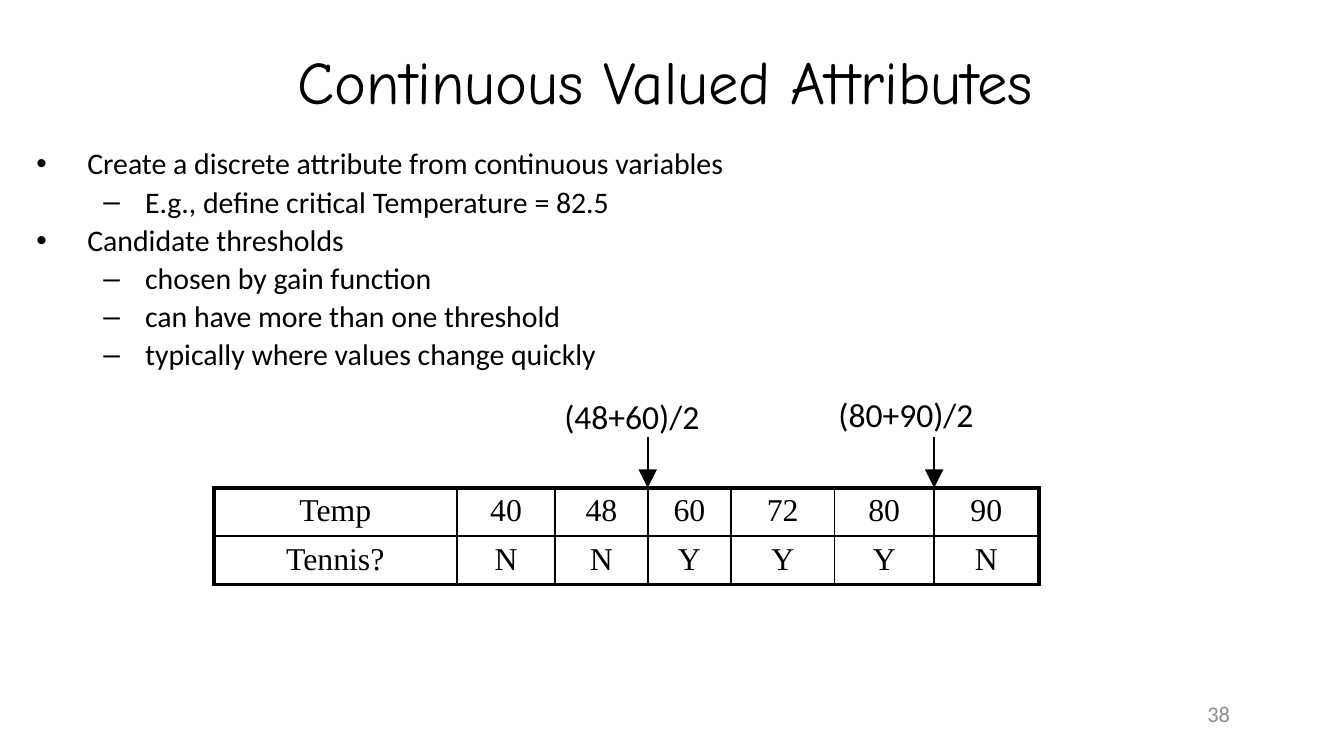
from lxml import etree
from pptx import Presentation
from pptx.dml.color import RGBColor
from pptx.enum.shapes import MSO_CONNECTOR
from pptx.enum.text import MSO_ANCHOR, MSO_AUTO_SIZE, PP_ALIGN
from pptx.oxml.ns import qn
from pptx.util import Inches, Pt

CENTER, RIGHT, LEFT = PP_ALIGN.CENTER, PP_ALIGN.RIGHT, PP_ALIGN.LEFT
TOP, MIDDLE = MSO_ANCHOR.TOP, MSO_ANCHOR.MIDDLE
NO_AUTOFIT = MSO_AUTO_SIZE.NONE
STRAIGHT = MSO_CONNECTOR.STRAIGHT

SLIDE_WIDTH = 10
SLIDE_HEIGHT = SLIDE_WIDTH * 9 / 16
BLACK, GRAY = "000000", "8C8C8C"
TITLE = "Continuous Valued Attributes"
POINTS = [
    (0, "Create a discrete attribute from continuous variables"),
    (1, "E.g., define critical Temperature = 82.5"),
    (0, "Candidate thresholds"),
    (1, "chosen by gain function"),
    (1, "can have more than one threshold"),
    (1, "typically where values change quickly"),
]
INDENTS = [(0.38, -0.38), (0.81, -0.31)]  # left margin, first line, per level
SAMPLES = [
    ["Temp", "40", "48", "60", "72", "80", "90"],
    ["Tennis?", "N", "N", "Y", "Y", "Y", "N"],
]
COLUMN_WIDTHS = [1.81, 0.73, 0.69, 0.62, 0.77, 0.74, 0.78]
TABLE_LEFT, TABLE_TOP, ROW_HEIGHT = 1.59, 3.63, 0.36
THIN, THICK = 1, 2.25
# label, its left and top, number of columns left of the threshold
THRESHOLDS = [("(48+60)/2", 4.1, 2.9, 3), ("(80+90)/2", 6.14, 2.88, 6)]
ARROW_TOP = 3.25
PAGE_NUMBER = "38"


def color(hex_value):
    return RGBColor.from_string(hex_value)


def place(shape, left, top, width, height):
    box = {"left": left, "top": top, "width": width, "height": height}
    for side, inches in box.items():
        setattr(shape, side, Inches(inches))


def format_text(paragraph, size, font="Calibri", hex_value=BLACK, align=LEFT):
    paragraph.alignment = align
    paragraph.font.size = Pt(size)
    paragraph.font.name = font
    paragraph.font.color.rgb = color(hex_value)


def set_borders(cell, widths):
    """Draw solid black borders; widths maps L, R, T, B to points, in that order."""
    properties = cell._tc.get_or_add_tcPr()
    for position, (side, points) in enumerate(widths.items()):
        line = etree.Element(qn(f"a:ln{side}"), w=str(Pt(points)))
        fill = etree.SubElement(line, qn("a:solidFill"))
        etree.SubElement(fill, qn("a:srgbClr"), val=BLACK)
        properties.insert(position, line)


def add_label(slide, text, box, size, hex_value=BLACK, align=LEFT, anchor=TOP, wrap=False):
    frame = slide.shapes.add_textbox(*map(Inches, box)).text_frame
    frame.word_wrap = wrap
    frame.vertical_anchor = anchor
    frame.text = text
    format_text(frame.paragraphs[0], size, hex_value=hex_value, align=align)


def add_title(slide):
    title = slide.shapes.title
    place(title, 0.42, 0.38, 9.06, 0.44)
    frame = title.text_frame
    frame.text = TITLE
    frame.auto_size = NO_AUTOFIT
    frame.vertical_anchor = MIDDLE
    format_text(frame.paragraphs[0], 32.4, "Comic Neue", align=CENTER)


def add_points(slide):
    body = slide.placeholders[1]
    place(body, 0.17, 1.06, 9.59, 2.25)
    frame = body.text_frame
    frame.text = "\n".join(text for _, text in POINTS)
    frame.auto_size = NO_AUTOFIT
    for paragraph, (level, _) in zip(frame.paragraphs, POINTS):
        paragraph.level = level
        paragraph.line_spacing = 0.9
        margin, first_line = INDENTS[level]
        properties = paragraph._p.get_or_add_pPr()
        properties.set("marL", str(Inches(margin)))
        properties.set("indent", str(Inches(first_line)))
        format_text(paragraph, 16)
    frame.paragraphs[0].space_before = Pt(0)


def add_samples(slide):
    rows, columns = len(SAMPLES), len(COLUMN_WIDTHS)
    table = slide.shapes.add_table(
        rows, columns, Inches(TABLE_LEFT), Inches(TABLE_TOP),
        Inches(sum(COLUMN_WIDTHS)), Inches(rows * ROW_HEIGHT)).table
    table.first_row = table.horz_banding = False
    for column, width in zip(table.columns, COLUMN_WIDTHS):
        column.width = Inches(width)
    for r, values in enumerate(SAMPLES):
        table.rows[r].height = Inches(ROW_HEIGHT)
        for c, value in enumerate(values):
            cell = table.cell(r, c)
            cell.text = value
            cell.margin_top = cell.margin_bottom = Inches(0.04)
            cell.fill.background()
            format_text(cell.text_frame.paragraphs[0], 17, "Times New Roman", align=CENTER)
            outer = {"L": c == 0, "R": c == columns - 1, "T": r == 0, "B": r == rows - 1}
            set_borders(cell, {side: THICK if edge else THIN for side, edge in outer.items()})


def add_thresholds(slide):
    for text, left, top, columns_before in THRESHOLDS:
        add_label(slide, text, (left, top, 1.21, 0.4), 18)
        x = Inches(TABLE_LEFT + sum(COLUMN_WIDTHS[:columns_before]))
        arrow = slide.shapes.add_connector(STRAIGHT, x, Inches(ARROW_TOP), x, Inches(TABLE_TOP))
        arrow.line.color.rgb = color(BLACK)
        arrow.line.width = Pt(THIN)
        etree.SubElement(arrow.line._get_or_add_ln(), qn("a:tailEnd"),
                         type="triangle", w="lg", len="lg")
        etree.SubElement(arrow._element.spPr, qn("a:effectLst"))


def main():
    presentation = Presentation()
    presentation.slide_width = Inches(SLIDE_WIDTH)
    presentation.slide_height = Inches(SLIDE_HEIGHT)
    slide = presentation.slides.add_slide(presentation.slide_layouts[1])
    add_title(slide)
    add_points(slide)
    add_samples(slide)
    add_thresholds(slide)
    add_label(slide, PAGE_NUMBER, (7.17, 5.12, 2.08, 0.38), 12, GRAY, RIGHT, MIDDLE, wrap=True)
    presentation.save("out.pptx")


if __name__ == "__main__":
    main()
